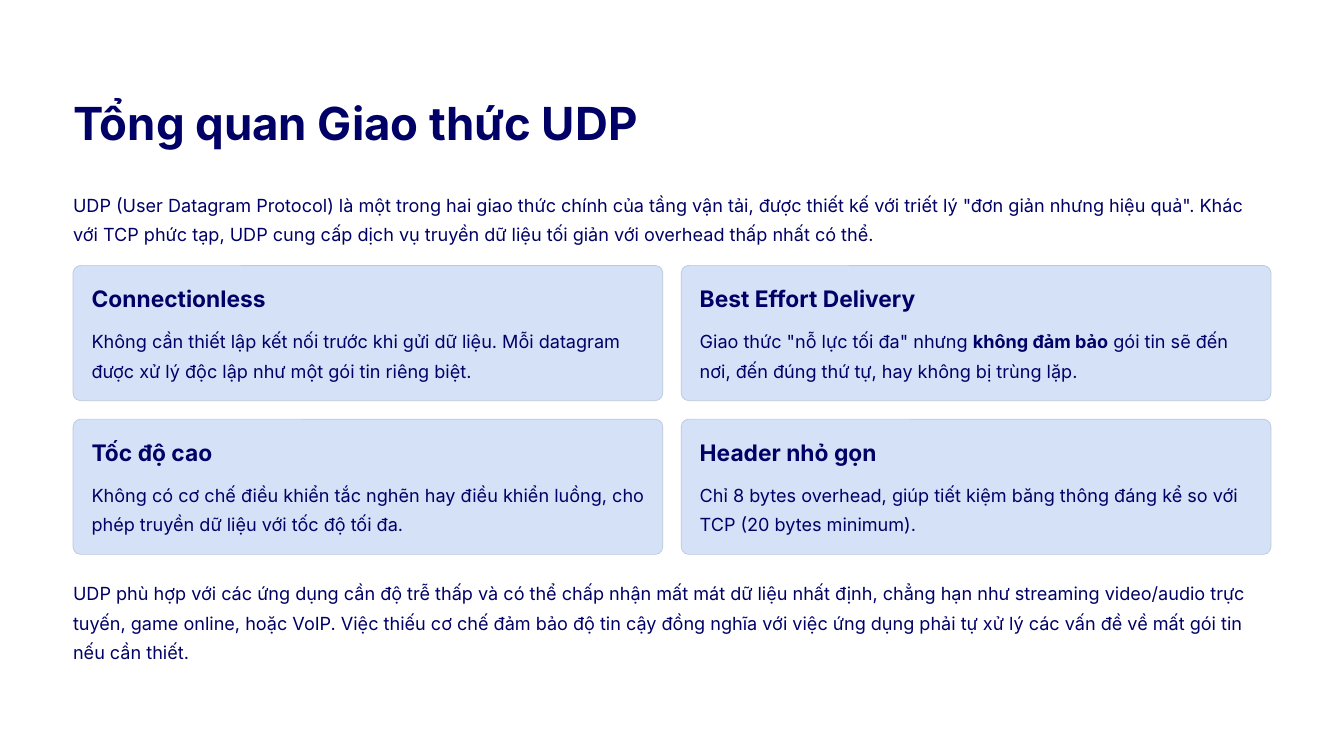
from pptx import Presentation
from pptx.dml.color import RGBColor
from pptx.enum.shapes import MSO_SHAPE
from pptx.util import Inches, Pt

COLORS = {"background": "FFFFFF", "ink": "000066", "card": "D4E1F7", "border": "BAC7DD"}
FONT = "Inter"
MARGIN = 0.87
CONTENT_WIDTH = 14.26
CARD_WIDTH, CARD_HEIGHT = 7.02, 1.61
CARD_GAP = 0.22
CARD_PADDING = 0.22
CARDS_TOP = 3.16
COLUMNS = 2

TITLE = "Tổng quan Giao thức UDP"
INTRODUCTION = (
    "UDP (User Datagram Protocol) là một trong hai giao thức chính của tầng vận tải, "
    'được thiết kế với triết lý "đơn giản nhưng hiệu quả". Khác với TCP phức tạp, '
    "UDP cung cấp dịch vụ truyền dữ liệu tối giản với overhead thấp nhất có thể."
)
CARDS = [
    ("Connectionless", [
        "Không cần thiết lập kết nối trước khi gửi dữ liệu. Mỗi datagram được xử lý "
        "độc lập như một gói tin riêng biệt."]),
    ("Best Effort Delivery", [
        'Giao thức "nỗ lực tối đa" nhưng ',
        "không đảm bảo",
        " gói tin sẽ đến nơi, đến đúng thứ tự, hay không bị trùng lặp."]),
    ("Tốc độ cao", [
        "Không có cơ chế điều khiển tắc nghẽn hay điều khiển luồng, cho phép truyền "
        "dữ liệu với tốc độ tối đa."]),
    ("Header nhỏ gọn", [
        "Chỉ 8 bytes overhead, giúp tiết kiệm băng thông đáng kể so với TCP "
        "(20 bytes minimum)."]),
]
CONCLUSION = (
    "UDP phù hợp với các ứng dụng cần độ trễ thấp và có thể chấp nhận mất mát dữ liệu "
    "nhất định, chẳng hạn như streaming video/audio trực tuyến, game online, hoặc VoIP. "
    "Việc thiếu cơ chế đảm bảo độ tin cậy đồng nghĩa với việc ứng dụng phải tự xử lý "
    "các vấn đề về mất gói tin nếu cần thiết."
)


def color(name):
    return RGBColor.from_string(COLORS[name])


def add_text(slide, left, top, width, height, text, size, spacing, bold=False, wrap=True):
    box = slide.shapes.add_textbox(Inches(left), Inches(top), Inches(width), Inches(height))
    frame = box.text_frame
    frame.margin_left = frame.margin_top = frame.margin_right = frame.margin_bottom = 0
    frame.word_wrap = wrap
    frame.text = text
    paragraph = frame.paragraphs[0]
    paragraph.line_spacing = Pt(spacing)
    paragraph.font.name = FONT
    paragraph.font.size = Pt(size)
    paragraph.font.bold = bold
    paragraph.font.color.rgb = color("ink")
    return paragraph


def add_title(slide, left, top, width):
    add_text(slide, left, top, width, 0.68, TITLE, 39, 48.5, bold=True, wrap=False)


def add_body(slide, left, top, width, height, text):
    return add_text(slide, left, top, width, height, text, 15.5, 25)


def add_card(slide, left, top, width, height, heading, segments):
    card = slide.shapes.add_shape(
        MSO_SHAPE.ROUNDED_RECTANGLE, Inches(left), Inches(top), Inches(width), Inches(height))
    card.adjustments[0] = 0.056
    card.shadow.inherit = False
    card.fill.solid()
    card.fill.fore_color.rgb = color("card")
    card.line.color.rgb = color("border")
    card.line.width = Pt(0.6)

    text_left = left + CARD_PADDING
    text_width = width - 2 * CARD_PADDING
    add_text(slide, text_left, top + CARD_PADDING, text_width, 0.34, heading, 19.5, 24,
             bold=True, wrap=False)
    paragraph = add_body(slide, text_left, top + 0.69, text_width, 0.69, segments[0])
    for index, segment in enumerate(segments[1:], start=1):
        run = paragraph.add_run()
        run.text = segment
        run.font.bold = index % 2 == 1


def add_card_grid(slide, left, top):
    for index, (heading, segments) in enumerate(CARDS):
        row, column = divmod(index, COLUMNS)
        add_card(slide, left + column * (CARD_WIDTH + CARD_GAP),
                 top + row * (CARD_HEIGHT + CARD_GAP),
                 CARD_WIDTH, CARD_HEIGHT, heading, segments)


def main():
    presentation = Presentation()
    presentation.slide_width = Inches(16)
    presentation.slide_height = Inches(9)
    slide = presentation.slides.add_slide(presentation.slide_layouts[6])
    slide.background.fill.solid()
    slide.background.fill.fore_color.rgb = color("background")
    add_title(slide, MARGIN, 1.11, 6.74)
    add_body(slide, MARGIN, 2.22, CONTENT_WIDTH, 0.69, INTRODUCTION)
    add_card_grid(slide, MARGIN, CARDS_TOP)
    add_body(slide, MARGIN, 6.85, CONTENT_WIDTH, 1.04, CONCLUSION)
    presentation.save("out.pptx")


if __name__ == "__main__":
    main()
